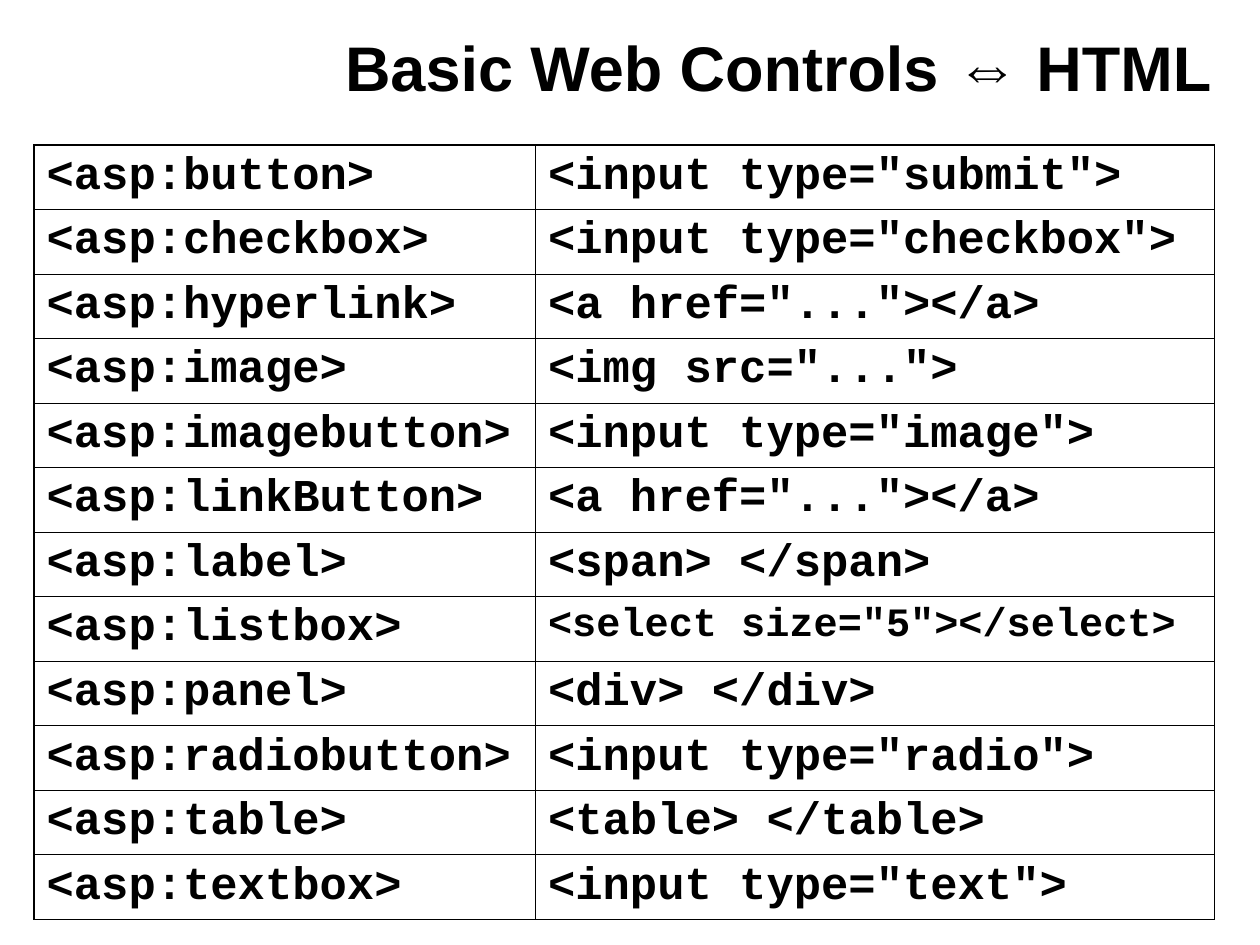
from lxml import etree
from pptx import Presentation
from pptx.dml.color import RGBColor
from pptx.enum.text import MSO_ANCHOR, PP_ALIGN
from pptx.oxml.ns import qn
from pptx.util import Inches, Pt

MIDDLE = MSO_ANCHOR.MIDDLE
LEFT = PP_ALIGN.LEFT
COLORS = {"text": "000000", "border": "000000"}
OUTER, INNER = 1.08, 0.45

CONTROLS = [
    ("<asp:button>", '<input type="submit">'),
    ("<asp:checkbox>", '<input type="checkbox">'),
    ("<asp:hyperlink>", '<a href="..."></a>'),
    ("<asp:image>", '<img src="...">'),
    ("<asp:imagebutton>", '<input type="image">'),
    ("<asp:linkButton>", '<a href="..."></a>'),
    ("<asp:label>", "<span> </span>"),
    ("<asp:listbox>", '<select size="5"></select>'),
    ("<asp:panel>", "<div> </div>"),
    ("<asp:radiobutton>", '<input type="radio">'),
    ("<asp:table>", "<table> </table>"),
    ("<asp:textbox>", '<input type="text">'),
]


class SlideBuilder:
    title_font = "Arial"
    code_font = "Courier New"
    title_size = 36
    code_size = 26
    long_code_size = 23
    long_code_length = 24

    def __init__(self, slide):
        self.slide = slide

    def add_text(self, tf, text, font, size, spacing):
        p = tf.paragraphs[0]
        p.alignment = LEFT
        p.line_spacing = spacing
        r = p.add_run()
        r.text = text
        r.font.name = font
        r.font.size = Pt(size)
        r.font.bold = True
        r.font.color.rgb = RGBColor.from_string(COLORS["text"])

    def title(self, text, left, top, width, height):
        sp = self.slide.shapes.add_textbox(
            Inches(left), Inches(top), Inches(width), Inches(height))
        tf = sp.text_frame
        tf.word_wrap = True
        tf.vertical_anchor = MIDDLE
        self.add_text(tf, text, self.title_font, self.title_size, 0.85)

    def border(self, cell, side, width):
        ln = etree.SubElement(cell._tc.get_or_add_tcPr(), qn(f"a:ln{side}"), w=str(Pt(width)))
        fill = etree.SubElement(ln, qn("a:solidFill"))
        etree.SubElement(fill, qn("a:srgbClr"), val=COLORS["border"])

    def code_table(self, rows, left, top, col_widths, height):
        table = self.slide.shapes.add_table(
            len(rows), len(col_widths), Inches(left), Inches(top),
            Inches(sum(col_widths)), Inches(height)).table
        table.first_row = table.horz_banding = False
        for column, width in zip(table.columns, col_widths):
            column.width = Inches(width)
        for i, row in enumerate(rows):
            for j, text in enumerate(row):
                cell = table.cell(i, j)
                edges = {"L": j == 0, "R": j == len(row) - 1,
                         "T": i == 0, "B": i == len(rows) - 1}
                for side, is_outer in edges.items():
                    self.border(cell, side, OUTER if is_outer else INNER)
                cell.fill.background()
                is_long = len(text) > self.long_code_length
                size = self.long_code_size if is_long else self.code_size
                self.add_text(cell.text_frame, text, self.code_font, size, 0.95)


def main():
    prs = Presentation()
    prs.slide_width = Inches(10)
    prs.slide_height = Inches(7.5)
    s = SlideBuilder(prs.slides.add_slide(prs.slide_layouts[6]))
    s.title("Basic Web Controls ⇔ HTML", 2.64, 0.08, 7.17, 0.99)
    s.code_table(CONTROLS, 0.27, 1.15, [3.98, 5.39], 6.15)
    prs.save("out.pptx")


if __name__ == "__main__":
    main()
